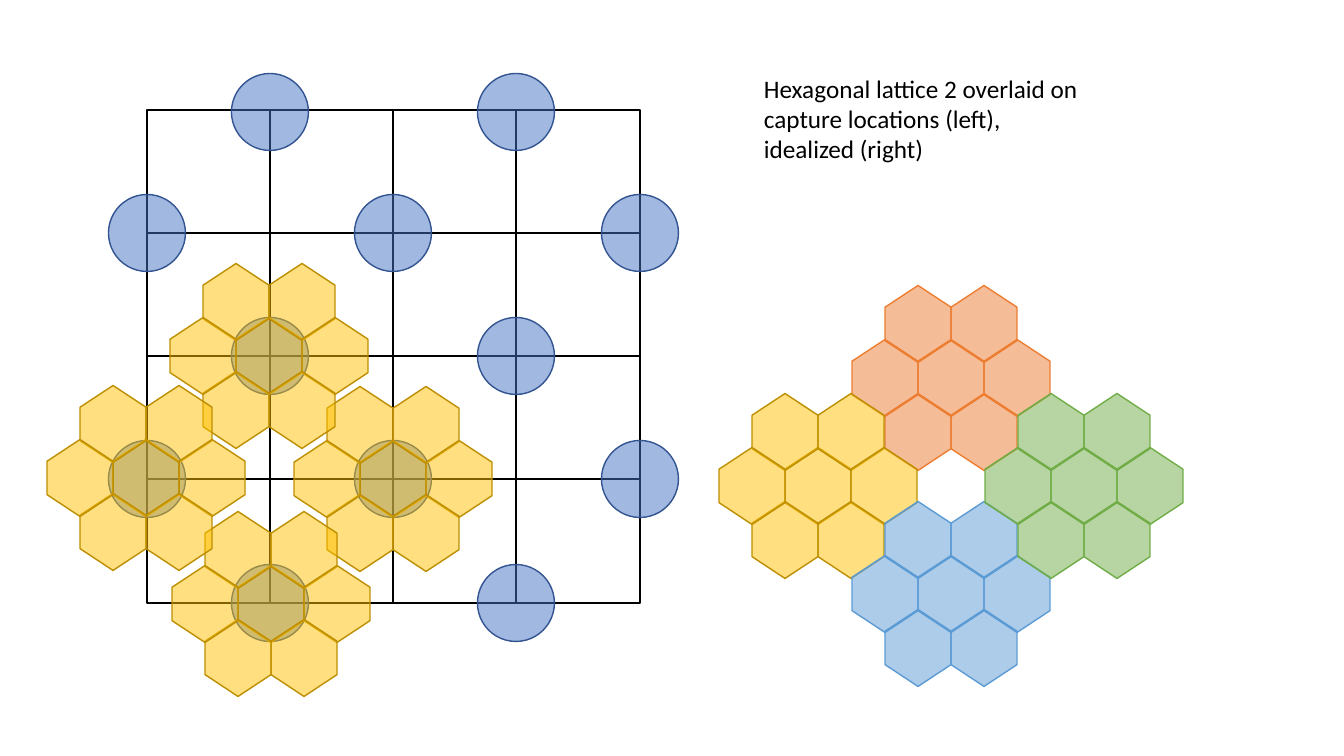
import pptx
import pptx.dml.color
import pptx.enum.shapes
import pptx.enum.text
import pptx.oxml
import pptx.util

SCALE = 914400 / 100.8
SHAPE = pptx.enum.shapes.MSO_SHAPE
COLORS = {
    "white": "FFFFFF", "black": "000000",
    "capture": "4472C4", "capture_edge": "325491",
    "gold": "FFC000", "gold_edge": "BD8E00",
    "orange": "ED7D31", "blue": "5B9BD5", "green": "70AD47",
}


def px(value):
    return pptx.util.Emu(round(value * SCALE))


def add_cell(container, preset, left, top, width, height, fill, edge, alpha=100):
    cell = container.add_shape(preset, px(left), px(top), px(width), px(height))
    cell.shadow.inherit = False
    cell.fill.solid()
    cell.fill.fore_color.rgb = pptx.dml.color.RGBColor.from_string(COLORS[fill])
    cell.line.color.rgb = pptx.dml.color.RGBColor.from_string(COLORS[edge])
    cell.line.width = pptx.util.Pt(1)
    if alpha < 100:
        color = cell.fill._xPr.solidFill[0]
        opacity = pptx.oxml.parse_xml(
            '<a:alpha xmlns:a="http://schemas.openxmlformats.org/drawingml/2006/main" '
            f'val="{alpha * 1000}"/>')
        color.append(opacity)
    return cell


deck = pptx.Presentation()
deck.slide_width, deck.slide_height = px(1344), px(756)
slide = deck.slides.add_slide(deck.slide_layouts[6])

GRID_LEFT, GRID_TOP, GRID_SPAN, GRID_CELLS = 147, 110, 493, 4
columns = [GRID_LEFT + i * GRID_SPAN // GRID_CELLS for i in range(GRID_CELLS + 1)]
rows = [GRID_TOP + i * GRID_SPAN // GRID_CELLS for i in range(GRID_CELLS + 1)]

for top, bottom in zip(rows, rows[1:]):
    for left, right in zip(columns, columns[1:]):
        add_cell(slide.shapes, SHAPE.RECTANGLE, left, top, right - left, bottom - top,
                 "white", "black")

CIRCLE = 77
for r, y in enumerate(rows):
    for c, x in enumerate(columns):
        if (r + c) % 2:
            nudge = 2 if r == 0 else 0
            add_cell(slide.shapes, SHAPE.OVAL, x - CIRCLE / 2, y - CIRCLE / 2 + nudge,
                     CIRCLE, CIRCLE, "capture", "capture_edge", 50)

HEX_LENGTH, HEX_WIDTH, HEX_ROW = 77, 66, 54
HALF = HEX_WIDTH // 2
flower = [(0, 0), (-HALF, -HEX_ROW), (HALF, -HEX_ROW), (HEX_WIDTH, 0),
          (HALF, HEX_ROW), (-HALF, HEX_ROW), (-HEX_WIDTH, 0)]

overlaid = [(393, 479), (269, 356), (271, 604), (146, 478)]
idealized = [(951, 378, "orange", "orange"), (818, 486, "gold", "gold_edge"),
             (951, 594, "blue", "blue"), (1084, 486, "green", "green")]

clusters = [(slide.shapes.add_group_shape().shapes, x, y, "gold", "gold_edge")
            for x, y in overlaid]
clusters += [(slide.shapes, *cluster) for cluster in idealized]

for container, x, y, fill, edge in clusters:
    for dx, dy in flower:
        hexagon = add_cell(container, SHAPE.HEXAGON, x + dx - HEX_LENGTH / 2,
                           y + dy - HEX_WIDTH / 2, HEX_LENGTH, HEX_WIDTH, fill, edge, 50)
        hexagon.rotation = 90
        hexagon.adjustments[0] = 0.33

caption = slide.shapes.add_textbox(px(754), px(68), px(346), px(102)).text_frame
caption.word_wrap = True
caption.auto_size = pptx.enum.text.MSO_AUTO_SIZE.SHAPE_TO_FIT_TEXT
wording = caption.paragraphs[0].add_run()
wording.text = "Hexagonal lattice 2 overlaid on capture locations (left), idealized (right)"
caption_format = {"name": "Calibri", "size": pptx.util.Pt(18)}
for attribute, value in caption_format.items():
    setattr(wording.font, attribute, value)
wording.font.color.rgb = pptx.dml.color.RGBColor.from_string(COLORS["black"])

deck.save("out.pptx")
